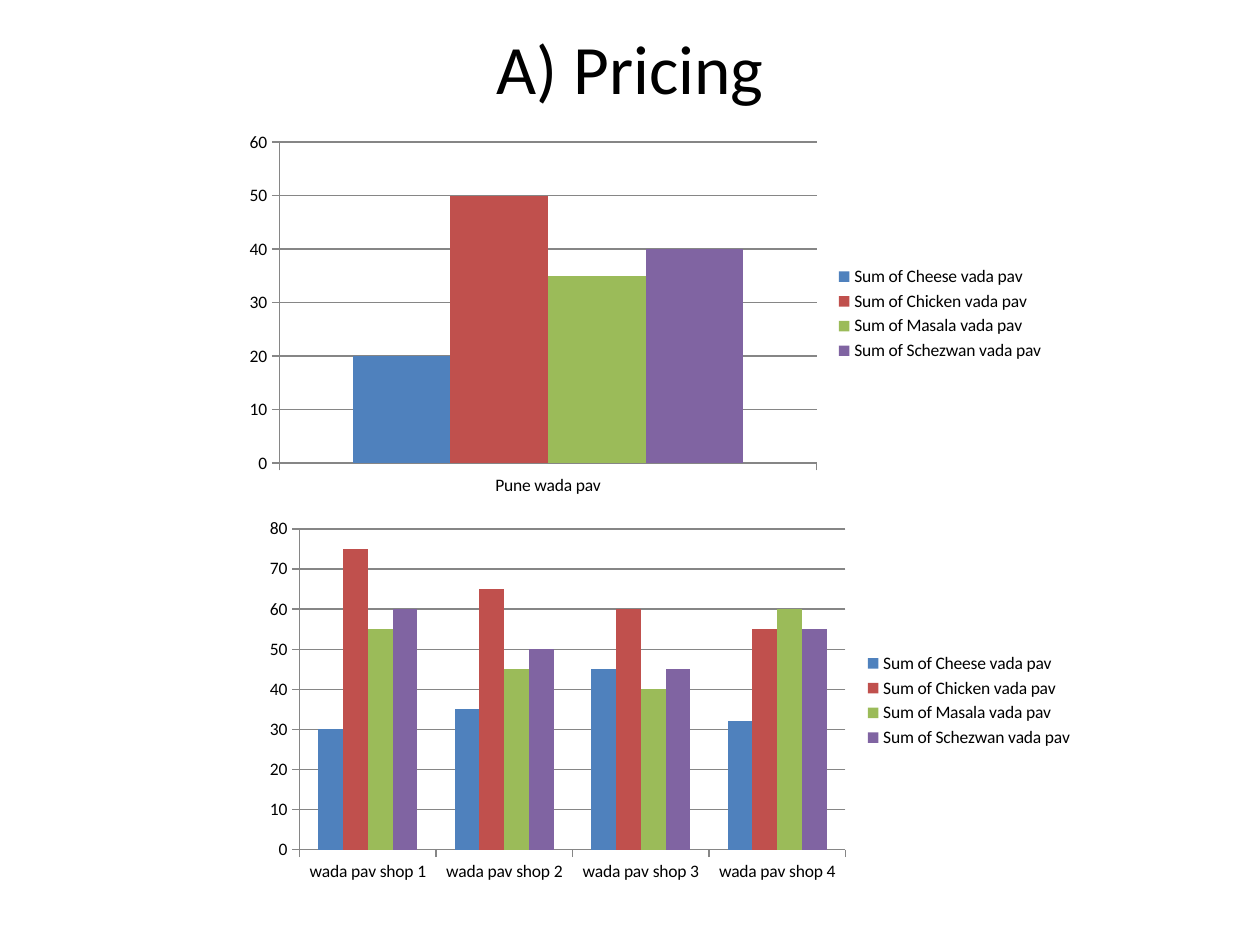
from dataclasses import dataclass

from pptx import Presentation
from pptx.chart.data import CategoryChartData
from pptx.dml.color import RGBColor
from pptx.enum.chart import XL_CHART_TYPE, XL_LEGEND_POSITION, XL_TICK_MARK
from pptx.enum.text import MSO_ANCHOR, MSO_AUTO_SIZE, PP_ALIGN
from pptx.util import Inches, Pt

CLUSTERED = XL_CHART_TYPE.COLUMN_CLUSTERED
LEGEND_RIGHT = XL_LEGEND_POSITION.RIGHT
TICK_OUT, TICK_NONE = XL_TICK_MARK.OUTSIDE, XL_TICK_MARK.NONE
MIDDLE, CENTER = MSO_ANCHOR.MIDDLE, PP_ALIGN.CENTER
NO_AUTOFIT = MSO_AUTO_SIZE.NONE
TITLE_ONLY = 5


@dataclass(frozen=True)
class Theme:
    """Font, type sizes and colours of the slide."""
    font: str = "Calibri"
    title_size: float = 39.6
    chart_size: float = 10
    text: str = "000000"
    axis: str = "868686"
    series: tuple = ("4F81BD", "C0504D", "9BBB59", "8064A2")


THEME = Theme()
PRODUCTS = ("Cheese", "Chicken", "Masala", "Schezwan")
OWN_PRICES = {"Pune wada pav": (20, 50, 35, 40)}
SHOP_PRICES = {
    "wada pav shop 1": (30, 75, 55, 60),
    "wada pav shop 2": (35, 65, 45, 50),
    "wada pav shop 3": (45, 60, 40, 45),
    "wada pav shop 4": (32, 55, 60, 55),
}


def style_font(font, size):
    """Apply the theme's font and text colour at the given size."""
    font.name = THEME.font
    font.size = Pt(size)
    font.color.rgb = RGBColor.from_string(THEME.text)


def style_line(line):
    """Draw a thin line in the axis colour."""
    line.color.rgb = RGBColor.from_string(THEME.axis)
    line.width = Pt(0.75)


def set_title(page, text, *, left, top, width, height):
    """Place and format the title placeholder."""
    title = page.shapes.title
    title.left, title.top = Inches(left), Inches(top)
    title.width, title.height = Inches(width), Inches(height)
    frame = title.text_frame
    frame.word_wrap = True
    frame.auto_size = NO_AUTOFIT
    frame.vertical_anchor = MIDDLE
    para = frame.paragraphs[0]
    para.alignment = CENTER
    span = para.add_run()
    span.text = text
    style_font(span.font, THEME.title_size)


def style_axis(axis):
    """Give an axis its line, outside ticks and labels."""
    axis.major_tick_mark = TICK_OUT
    axis.minor_tick_mark = TICK_NONE
    style_line(axis.format.line)
    style_font(axis.tick_labels.font, THEME.chart_size)


def add_price_chart(page, prices, *, left, top, width, height, maximum):
    """Add a column chart with one series per product."""
    data = CategoryChartData()
    data.categories = list(prices)
    for product, values in zip(PRODUCTS, zip(*prices.values())):
        data.add_series(f"Sum of {product} vada pav", values)
    chart = page.shapes.add_chart(
        CLUSTERED, Inches(left), Inches(top), Inches(width), Inches(height), data
    ).chart
    style_font(chart.font, THEME.chart_size)
    chart.has_title = False
    chart.has_legend = True
    chart.legend.position = LEGEND_RIGHT
    chart.legend.include_in_layout = False
    style_font(chart.legend.font, THEME.chart_size)

    style_axis(chart.category_axis)
    value_axis = chart.value_axis
    style_axis(value_axis)
    value_axis.minimum_scale, value_axis.maximum_scale = 0, maximum
    value_axis.major_unit = 10
    value_axis.has_major_gridlines = True
    style_line(value_axis.major_gridlines.format.line)

    plot = chart.plots[0]
    plot.gap_width, plot.overlap = 150, 0
    plot.vary_by_categories = False
    for series, color in zip(plot.series, THEME.series):
        series.invert_if_negative = False
        series.format.fill.solid()
        series.format.fill.fore_color.rgb = RGBColor.from_string(color)


def main():
    """Build the pricing slide and save it."""
    deck = Presentation()
    deck.slide_width, deck.slide_height = Inches(10), Inches(7.5)
    page = deck.slides.add_slide(deck.slide_layouts[TITLE_ONLY])
    set_title(page, "A) Pricing", left=0.5, top=0.3, width=9, height=0.46)
    add_price_chart(page, OWN_PRICES, left=1.85, top=0.99,
                    width=6.54, height=3, maximum=60)
    add_price_chart(page, SHOP_PRICES, left=2.01, top=4.06,
                    width=6.61, height=3, maximum=80)
    deck.save("out.pptx")


if __name__ == "__main__":
    main()
